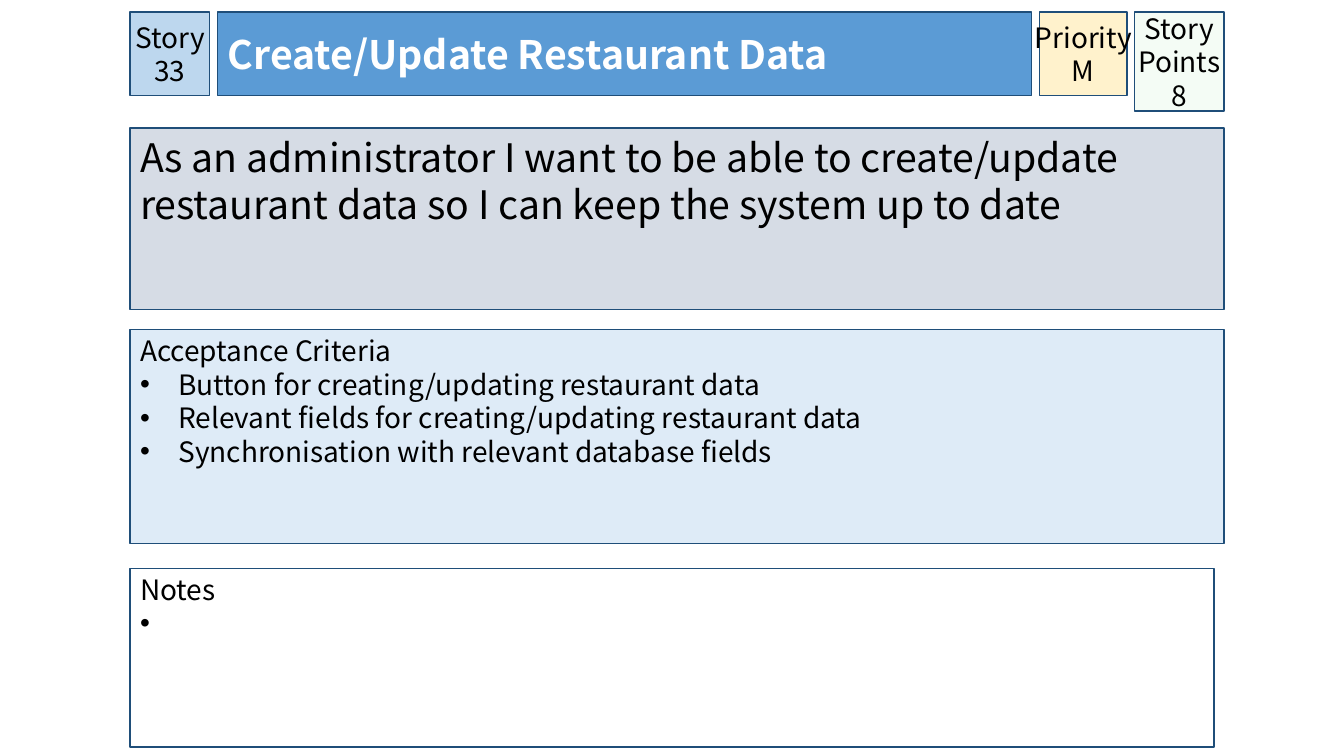
from lxml import etree
from pptx import Presentation
from pptx.dml.color import RGBColor
from pptx.enum.shapes import MSO_SHAPE
from pptx.enum.text import MSO_ANCHOR, MSO_AUTO_SIZE, PP_ALIGN
from pptx.oxml.ns import qn
from pptx.util import Inches, Pt

RECT = MSO_SHAPE.RECTANGLE
TOP, MIDDLE = MSO_ANCHOR.TOP, MSO_ANCHOR.MIDDLE
LEFT, CENTER = PP_ALIGN.LEFT, PP_ALIGN.CENTER
FIXED = MSO_AUTO_SIZE.NONE
FONT = "Noto Sans CJK KR"
EDGE, HEAD = 1.29, 0.12
COLORS = {
    "story": "BDD7EE", "title": "5B9BD5", "goal": "D6DCE5",
    "accept": "DEEBF7", "points": "CCF0CD", "rank": "FFF2CC",
    "notes": "FFFFFF", "edge": "1F4E79", "dark": "000000", "light": "FFFFFF",
}


def color(name):
    """Return the named colour."""
    return RGBColor.from_string(COLORS[name])


def assign(target, values):
    """Set each attribute of the target from a dict."""
    for name, value in values.items():
        setattr(target, name, value)


def place(shape, box):
    """Move and size a shape, in inches."""
    assign(shape, dict(zip(("left", "top", "width", "height"), map(Inches, box))))


def paint(shape, fill):
    """Give a shape its fill and thin edge."""
    shape.fill.solid()
    shape.fill.fore_color.rgb = color(fill)
    shape.line.color.rgb = color("edge")
    shape.line.width = Pt(1)


def fade(shape, share):
    """Make a solid fill see-through, with share as the percent kept."""
    tint = shape.fill._xPr.find(".//" + qn("a:srgbClr"))
    etree.SubElement(tint, qn("a:alpha"), val=str(share * 1000))


def bullet(para, indent):
    """Add a hanging bullet to a paragraph."""
    props = para._p.get_or_add_pPr()
    props.set("marL", str(Inches(indent)))
    props.set("indent", str(-Inches(indent)))
    etree.SubElement(props, qn("a:buFont"), typeface="Arial")
    etree.SubElement(props, qn("a:buChar"), char="•")


def write(shape, lines, size=20, ink="dark", bold=False, align=LEFT,
          anchor=TOP, side=0.1, top=0.05, wrap=True, indent=0):
    """Fill a shape with text, with bullets after the first line if indented."""
    frame = shape.text_frame
    assign(frame, {
        "auto_size": FIXED, "word_wrap": wrap, "vertical_anchor": anchor,
        "margin_left": Inches(side), "margin_right": Inches(side),
        "margin_top": Inches(top), "margin_bottom": Inches(0.05),
    })
    for index, line in enumerate(lines):
        para = frame.add_paragraph() if index else frame.paragraphs[0]
        assign(para, {"alignment": align, "line_spacing": Pt(size * 1.2),
                      "space_before": Pt(0), "space_after": Pt(0)})
        if index and indent:
            bullet(para, indent)
        run = para.add_run()
        run.text = line
        assign(run.font, {"name": FONT, "size": Pt(size), "bold": bold})
        run.font.color.rgb = color(ink)


def panel(slide, box, fill, lines, **style):
    """Add a filled box with text."""
    shape = slide.shapes.add_shape(RECT, *map(Inches, box))
    shape.shadow.inherit = False
    paint(shape, fill)
    write(shape, lines, **style)
    return shape


def badge(slide, left, width, height, fill, lines, wrap=True):
    """Add a small centred box in the head row."""
    return panel(slide, (left, HEAD, width, height), fill, lines,
                 align=CENTER, anchor=MIDDLE, side=0, wrap=wrap)


def heading(slide, text):
    """Format the title as the bar in the head row."""
    title = slide.shapes.title
    place(title, (2.16, HEAD, 8.07, 0.83))
    paint(title, "title")
    write(title, [text], size=28, ink="light", bold=True, anchor=MIDDLE)


def main():
    """Build the story card and save it."""
    deck = Presentation()
    assign(deck, {"slide_width": Inches(13.33), "slide_height": Inches(7.5)})
    slide = deck.slides.add_slide(deck.slide_layouts[5])
    heading(slide, "Create/Update Restaurant Data")
    badge(slide, EDGE, 0.79, 0.83, "story", ["Story 33"])
    panel(slide, (EDGE, 1.27, 10.85, 1.8), "goal", [
        "As an administrator I want to be able to create/update restaurant "
        "data so I can keep the system up to date"], size=28)
    panel(slide, (EDGE, 3.27, 10.85, 2.12), "accept", [
        "Acceptance Criteria",
        "Button for creating/updating restaurant data",
        "Relevant fields for creating/updating restaurant data",
        "Synchronisation with relevant database fields"], top=0.04, indent=0.38)
    points = badge(slide, 11.25, 0.89, 0.98, "points", ["Story Points", "8"])
    fade(points, 20)
    badge(slide, 10.31, 0.87, 0.83, "rank", ["Priority", "M"], wrap=False)
    panel(slide, (EDGE, 5.64, 10.75, 1.77), "notes", ["Notes", " "],
          top=0.04, indent=0.2)
    deck.save("out.pptx")


if __name__ == "__main__":
    main()
